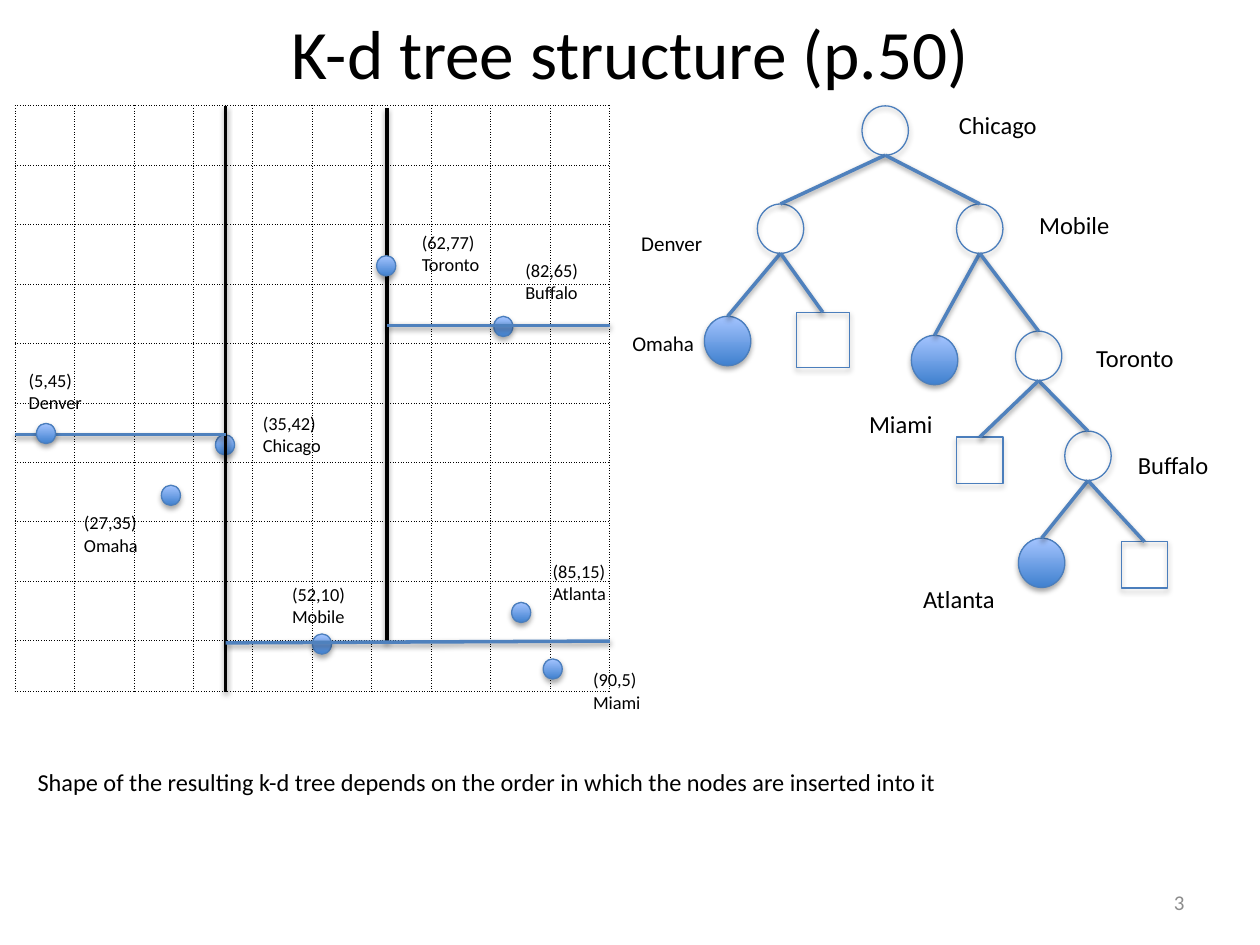
import pptx
import pptx.dml.color
import pptx.enum.dml
import pptx.enum.shapes
import pptx.enum.text
import pptx.util
from lxml import etree
from pptx.oxml.ns import qn

RGB = pptx.dml.color.RGBColor
BLACK = RGB(0x00, 0x00, 0x00)
GRAY = RGB(0x8C, 0x8C, 0x8C)
BLUE = RGB(0x4F, 0x81, 0xBD)
OUTLINE = RGB(0x4B, 0x7E, 0xBC)
GRADIENT = (RGB(0x3F, 0x80, 0xCE), RGB(0xA4, 0xC4, 0xFF))

FONT = "Calibri"
ALIGN = pptx.enum.text.PP_ALIGN
SHAPE = pptx.enum.shapes.MSO_SHAPE
WIDTH, HEIGHT = pptx.util.Inches(10), pptx.util.Inches(7.5)

# Map and tree share one grid of square cells.
CELL = pptx.util.Inches(0.472)
GRID_LEFT, GRID_TOP = pptx.util.Inches(0.12), pptx.util.Inches(0.84)
GRID_COUNT = 10
LAST_ROW = 0.86
DOT = (0.32, 0.34)
CIRCLE = (0.78, 0.83)
SQUARE = (0.78, 0.78)
LARGE_SQUARE = (0.89, 0.93)

# city, coordinates, dot centre, label (column, row, width)
CITIES = [
    ("Chicago", "(35,42)", (3.53, 5.70), (3.96, 5.04, 1.46)),
    ("Toronto", "(62,77)", (6.24, 2.69), (6.63, 2.01, 1.44)),
    ("Denver", "(5,45)", (0.52, 5.51), (0.02, 4.32, 1.36)),
    ("Mobile", "(52,10)", (5.16, 9.05), (4.45, 7.92, 1.33)),
    ("Buffalo", "(82,65)", (8.21, 3.71), (8.37, 2.48, 1.33)),
    ("Omaha", "(27,35)", (2.62, 6.55), (0.95, 6.72, 1.36)),
    ("Atlanta", "(85,15)", (8.51, 8.52), (8.83, 7.54, 1.36)),
    ("Miami", "(90,5)", (9.04, 9.47), (9.51, 9.36, 1.23)),
]

# city: start, end, colour of the line that divides the region
SPLITS = {
    "Chicago": ((3.54, 0), (3.54, 9.85), BLACK),
    "Toronto": ((6.25, 0.04), (6.25, 9.02), BLACK),
    "Denver": ((0, 5.53), (3.54, 5.53), BLUE),
    "Mobile": ((3.54, 9.03), (10, 9), BLUE),
    "Buffalo": ((6.25, 3.69), (10, 3.69), BLUE),
}
DOT_OVER_SPLIT = {"Toronto", "Denver"}

# city, parent, middle of the node's top, leaf?, label (column, row, width), size
NODES = [
    ("Chicago", None, (14.63, 0), False, (15.66, -0.04, 1.76), 14),
    ("Denver", "Chicago", (12.87, 1.65), False, (10.32, 1.99, 1.48), 12),
    ("Omaha", "Denver", (11.98, 3.54), True, (10.17, 3.67, 1.5), 12),
    ("Mobile", "Chicago", (16.22, 1.65), False, (17.01, 1.65, 1.61), 14),
    ("Miami", "Mobile", (15.46, 3.86), True, (14.15, 5, 1.5), 14),
    ("Toronto", "Mobile", (17.21, 3.79), False, (17.97, 3.88, 1.8), 14),
    ("Buffalo", "Toronto", (18.04, 5.47), False, (18.67, 5.68, 1.63), 14),
    ("Atlanta", "Buffalo", (17.26, 7.27), True, (15.06, 7.94, 1.65), 14),
]

# parent, middle of the square's top, size
EMPTY_LEAVES = [
    ("Denver", (13.58, 3.47), LARGE_SQUARE),
    ("Toronto", (16.22, 5.57), SQUARE),
    ("Buffalo", (18.99, 7.33), SQUARE),
]


def at(column, row):
    return GRID_LEFT + round(column * CELL), GRID_TOP + round(row * CELL)


def cells(*counts):
    return [round(count * CELL) for count in counts]


def share(x, y, width, height):
    """Turn shares of the slide into a box."""
    return (round(x * WIDTH), round(y * HEIGHT),
            round(width * WIDTH), round(height * HEIGHT))


def add_shadow(properties, alpha, distance):
    effects = etree.SubElement(properties, qn("a:effectLst"))
    shadow = etree.SubElement(
        effects, qn("a:outerShdw"), blurRad=str(pptx.util.Pt(3.1)),
        dist=str(pptx.util.Pt(distance)), dir="5400000", rotWithShape="0")
    color = etree.SubElement(shadow, qn("a:srgbClr"), val=str(BLACK))
    etree.SubElement(color, qn("a:alpha"), val=str(alpha * 1000))


def add_text(slide, box, lines, size, color=BLACK, align=ALIGN.LEFT,
             middle=False, wrap=True, baseline=None):
    frame = slide.shapes.add_textbox(*box).text_frame
    frame.word_wrap = wrap
    if middle:
        frame.vertical_anchor = pptx.enum.text.MSO_ANCHOR.MIDDLE
    for index, line in enumerate(lines):
        paragraph = frame.add_paragraph() if index else frame.paragraphs[0]
        paragraph.alignment = align
        run = paragraph.add_run()
        run.text = line
        run.font.name, run.font.size = FONT, pptx.util.Pt(size)
        run.font.color.rgb = color
        if baseline:
            run._r.get_or_add_rPr().set("baseline", str(baseline * 1000))


def add_label(slide, place, lines, size):
    column, row, width = place
    height = 0.21 + len(lines) * size * 0.036
    add_text(slide, (*at(column, row), *cells(width, height)), lines, size, wrap=False)


def add_mark(slide, kind, top_middle, size, filled):
    column, row = top_middle
    mark = slide.shapes.add_shape(kind, *at(column - size[0] / 2, row), *cells(*size))
    if filled:
        mark.fill.gradient()
        mark.fill.gradient_angle = 90
        for stop, color in zip(mark.fill.gradient_stops, GRADIENT):
            stop.color.rgb = color
        mark.fill.gradient_stops[0].position = 0
        mark.fill.gradient_stops[1].position = 1
    else:
        mark.fill.background()
    mark.line.color.rgb = OUTLINE
    mark.line.width = pptx.util.Pt(0.75)
    add_shadow(mark._element.spPr, 35, 1.8)
    return mark


def add_line(slide, start, end, color):
    line = slide.shapes.add_connector(
        pptx.enum.shapes.MSO_CONNECTOR.STRAIGHT, *at(*start), *at(*end))
    line.line.color.rgb = color
    line.line.width = pptx.util.Pt(2)
    add_shadow(line._element.spPr, 38, 1.6)
    return line


def add_branch(slide, child, top_middle, parent_top):
    """Join the top of a child to the bottom of its parent's circle."""
    column, row = parent_top
    branch = add_line(slide, top_middle, (column, row + CIRCLE[1]), BLUE)
    branch.begin_connect(child, 0)


def add_dotted_borders(cell):
    properties = cell._tc.get_or_add_tcPr()
    for side in ("lnL", "lnR", "lnT", "lnB"):
        border = etree.SubElement(properties, qn("a:" + side), w=str(pptx.util.Pt(0.5)))
        paint = etree.SubElement(border, qn("a:solidFill"))
        etree.SubElement(paint, qn("a:srgbClr"), val=str(BLACK))
        etree.SubElement(border, qn("a:prstDash"), val="sysDot")


def add_grid(slide):
    grid = slide.shapes.add_table(
        GRID_COUNT, GRID_COUNT, *at(0, 0),
        *cells(GRID_COUNT, GRID_COUNT - 1 + LAST_ROW)).table
    grid.first_row = grid.horz_banding = False
    for column in grid.columns:
        column.width = CELL
    for row in grid.rows:
        row.height = CELL
    grid.rows[GRID_COUNT - 1].height = cells(LAST_ROW)[0]
    for cell in grid.iter_cells():
        add_dotted_borders(cell)
        cell.fill.background()


def add_map(slide):
    add_grid(slide)
    for city, coordinates, (column, row), label in CITIES:
        if city in DOT_OVER_SPLIT:
            add_line(slide, *SPLITS[city])
        add_mark(slide, SHAPE.OVAL, (column, row - DOT[1] / 2), DOT, True)
        add_label(slide, label, [coordinates, city], 10.5)
        if city in SPLITS and city not in DOT_OVER_SPLIT:
            add_line(slide, *SPLITS[city])


def add_tree(slide):
    tops = {}
    for city, parent, top, leaf, label, size in NODES:
        tops[city] = top
        add_label(slide, label, [city], size)
        node = add_mark(slide, SHAPE.OVAL, top, CIRCLE, leaf)
        if parent:
            add_branch(slide, node, top, tops[parent])
    for parent, top, size in EMPTY_LEAVES:
        square = add_mark(slide, SHAPE.RECTANGLE, top, size, False)
        add_branch(slide, square, top, tops[parent])


def main():
    deck = pptx.Presentation()
    deck.slide_width, deck.slide_height = WIDTH, HEIGHT
    slide = deck.slides.add_slide(deck.slide_layouts[6])
    add_text(slide, share(0.05, 0.04, 0.9, 0.03), ["K-d tree structure (p.50)"],
             39.6, align=ALIGN.CENTER, middle=True)
    add_map(slide)
    add_tree(slide)
    add_text(slide, share(0.02, 0.8, 0.85, 0.05),
             ["Shape of the resulting k-d tree depends on the order in which "
              "the nodes are inserted into it"], 24, baseline=30)
    add_text(slide, share(0.72, 0.93, 0.23, 0.05), ["3"], 12, GRAY,
             align=ALIGN.RIGHT, middle=True)
    deck.save("out.pptx")


if __name__ == "__main__":
    main()
